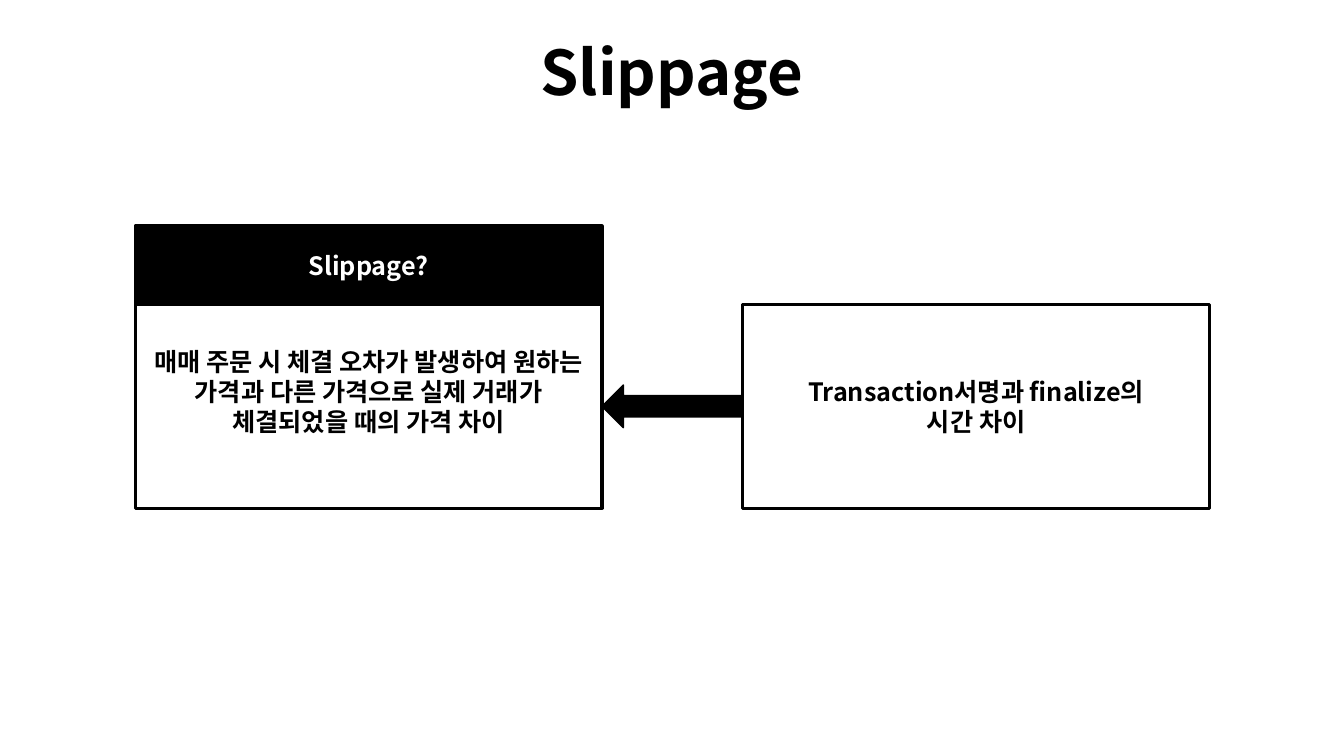
from lxml.etree import SubElement
from pptx import Presentation
from pptx.dml.color import RGBColor
from pptx.enum.shapes import MSO_SHAPE as SHAPE
from pptx.enum.text import MSO_ANCHOR as ANCHOR, PP_ALIGN as ALIGN
from pptx.oxml.ns import qn
from pptx.util import Pt

TITLE = "Slippage"
HEADING = "Slippage?"
DEFINITION = ["매매 주문 시 체결 오차가 발생하여 원하는 가격과 다른 가격으로 실제 거래가 체결되었을 때의 가격 차이"]
CAUSE = ["Transaction서명과 finalize의", "시간 차이"]

FONT = "Noto Sans CJK KR"
COLORS = {"black": "000000", "white": "FFFFFF"}

SLIDE_W, SLIDE_H = 960, 540
BOX_W, BOX_H, HEAD_H = 333.5, 145.5, 56
ARROW_W, ARROW_H = 100.5, 30.5
LEFT, TOP = 96.5, 217.5
BLANK_LINE = 21.5


def color(name):
    return RGBColor.from_string(COLORS[name])


def write(s, lines, size, ink, spacing=None):
    tf = s.text_frame
    tf.word_wrap = True
    tf.vertical_anchor = ANCHOR.MIDDLE
    for i, line in enumerate(lines):
        p = tf.paragraphs[0] if i == 0 else tf.add_paragraph()
        p.text = line
        p.alignment = ALIGN.CENTER
        if spacing:
            p.line_spacing = spacing
        p.font.name = FONT
        p.font.size = Pt(size)
        p.font.bold = True
        p.font.color.rgb = color(ink)
        SubElement(p.font._element, qn("a:ea"), typeface=FONT)


def add_block(shapes, kind, x, y, w, h, fill, line_w=2.25):
    s = shapes.add_shape(kind, Pt(x), Pt(y), Pt(w), Pt(h))
    s.shadow.inherit = False
    s.fill.solid()
    s.fill.fore_color.rgb = color(fill)
    s.line.color.rgb = color("black")
    s.line.width = Pt(line_w)
    return s


def main():
    prs = Presentation()
    prs.slide_width, prs.slide_height = Pt(SLIDE_W), Pt(SLIDE_H)
    shapes = prs.slides.add_slide(prs.slide_layouts[6]).shapes

    title = shapes.add_textbox(Pt(66), Pt(1.5), Pt(828), Pt(104.5))
    write(title, [TITLE], 44, "black", 0.9)

    definition = add_block(shapes, SHAPE.RECTANGLE, LEFT, TOP, BOX_W, BOX_H, "white")
    write(definition, DEFINITION, 18, "black")
    definition.text_frame.margin_bottom = Pt(3.6 + BLANK_LINE)

    heading = add_block(shapes, SHAPE.RECTANGLE, LEFT, TOP - HEAD_H, BOX_W, HEAD_H, "black")
    write(heading, [HEADING], 18, "white")

    arrow_x = LEFT + BOX_W
    cause = add_block(shapes, SHAPE.RECTANGLE, arrow_x + ARROW_W, TOP, BOX_W, BOX_H, "white")
    write(cause, CAUSE, 18, "black")

    arrow_y = TOP + (BOX_H - ARROW_H) / 2
    add_block(shapes, SHAPE.LEFT_ARROW, arrow_x, arrow_y, ARROW_W, ARROW_H, "black", 1)

    prs.save("out.pptx")


if __name__ == "__main__":
    main()
